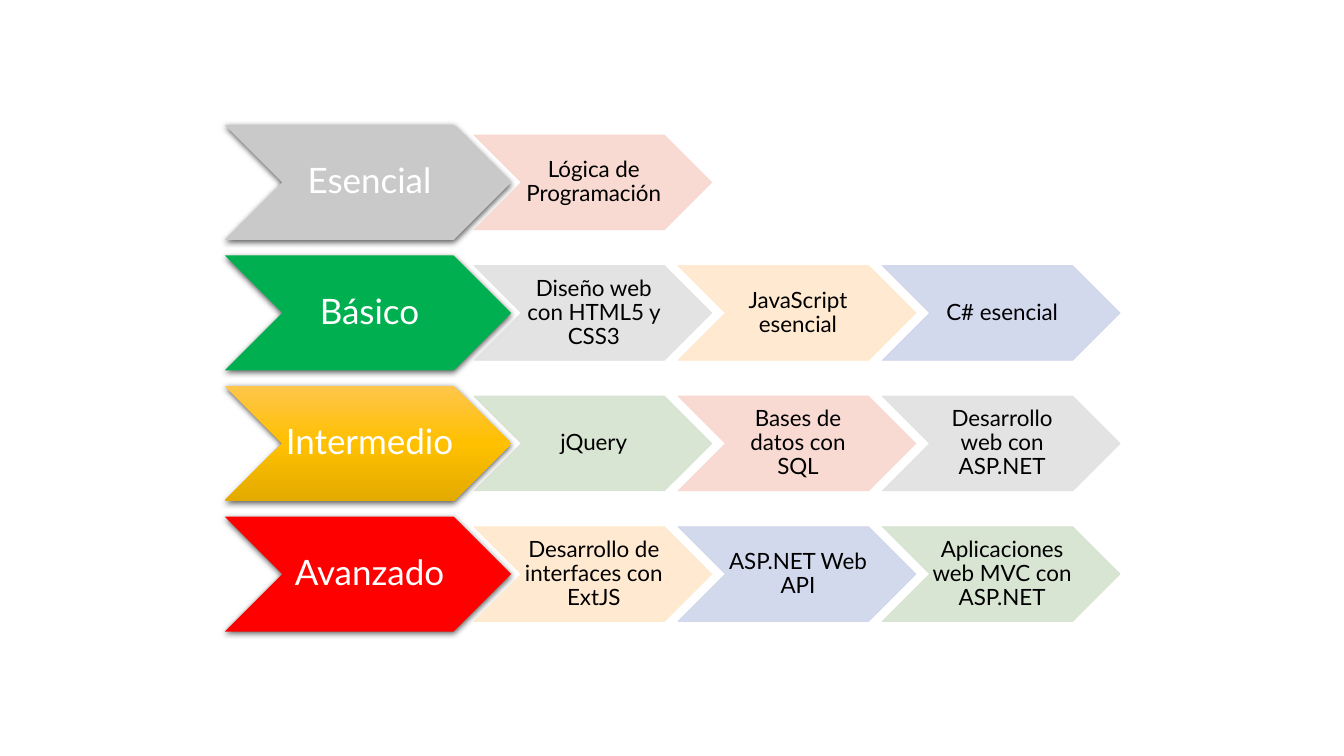
import pptx
import pptx.dml.color
import pptx.enum.shapes
import pptx.enum.text
import pptx.oxml
import pptx.oxml.ns
import pptx.util

Inches = pptx.util.Inches
Pt = pptx.util.Pt
RGBColor = pptx.dml.color.RGBColor
qn = pptx.oxml.ns.qn

FONT = "Lato"
WHITE = RGBColor(0xFF, 0xFF, 0xFF)
BLACK = RGBColor(0x00, 0x00, 0x00)
GREY = RGBColor(0xC9, 0xC9, 0xC9)
GREEN = RGBColor(0x00, 0xB0, 0x50)
RED = RGBColor(0xFF, 0x00, 0x00)
AMBER_LIGHT = RGBColor(0xFF, 0xC6, 0x4B)
AMBER = RGBColor(0xFF, 0xC0, 0x00)
AMBER_DARK = RGBColor(0xE3, 0xAB, 0x00)

# Step tints follow one another through the whole diagram
TINTS = [
    RGBColor(0xF8, 0xD7, 0xCE),
    RGBColor(0xE1, 0xE1, 0xE1),
    RGBColor(0xFF, 0xE8, 0xCC),
    RGBColor(0xCF, 0xD5, 0xEA),
    RGBColor(0xD5, 0xE3, 0xCF),
]

# Level name, fill colours from top to bottom, steps
LEVELS = [
    ("Esencial", [GREY], ["Lógica de Programación"]),
    ("Básico", [GREEN],
     ["Diseño web con HTML5 y CSS3", "JavaScript esencial", "C# esencial"]),
    ("Intermedio", [AMBER_LIGHT, AMBER, AMBER_DARK],
     ["jQuery", "Bases de datos con SQL", "Desarrollo web con ASP.NET"]),
    ("Avanzado", [RED],
     ["Desarrollo de interfaces con ExtJS", "ASP.NET Web API",
      "Aplicaciones web MVC con ASP.NET"]),
]

# Diagram grid, in inches
LEFT, TOP = 2.23, 1.24
ROW_PITCH = 1.295
LEVEL_W, LEVEL_H = 2.84, 1.14
STEP_W, STEP_H = 2.36, 0.94
STEP_OFFSET, STEP_PITCH = 2.47, 2.025

NS = 'xmlns:a="http://schemas.openxmlformats.org/drawingml/2006/main"'


def write_text(sp, text, size, color, inset):
    """Centre one paragraph in the shape."""
    tf = sp.text_frame
    tf.word_wrap = True
    tf.vertical_anchor = pptx.enum.text.MSO_ANCHOR.MIDDLE
    tf.margin_left, tf.margin_right = Inches(inset), 0
    tf.margin_top = tf.margin_bottom = Inches(inset / 1.6)
    p = tf.paragraphs[0]
    p.alignment = pptx.enum.text.PP_ALIGN.CENTER
    p.line_spacing = 0.9
    p.space_after = Pt(size * 0.35)
    r = p.add_run()
    r.text = text
    r.font.name = FONT
    r.font.size = Pt(size)
    r.font.color.rgb = color


def add_chevron(slide, box, color):
    sp = slide.shapes.add_shape(pptx.enum.shapes.MSO_SHAPE.CHEVRON,
                                *[Inches(v) for v in box])
    sp.shadow.inherit = False
    sp.fill.solid()
    sp.fill.fore_color.rgb = color
    return sp


def fill_gradient(sp, colors):
    """Replace the solid fill with evenly spaced stops, top to bottom."""
    last = len(colors) - 1
    stops = "".join(
        f'<a:gs pos="{100000 * i // last}"><a:srgbClr val="{c}"/></a:gs>'
        for i, c in enumerate(colors))
    grad = pptx.oxml.parse_xml(
        f'<a:gradFill {NS} rotWithShape="1"><a:gsLst>{stops}</a:gsLst>'
        '<a:lin ang="5400000" scaled="0"/></a:gradFill>')
    spPr = sp.fill._xPr
    spPr.replace(spPr.find(qn("a:solidFill")), grad)


def add_shadow(sp):
    effects = sp._element.spPr.find(qn("a:effectLst"))
    effects.append(pptx.oxml.parse_xml(
        f'<a:outerShdw {NS} blurRad="{Pt(4.5)}" dist="{Pt(1.5)}" '
        'dir="5400000" algn="ctr" rotWithShape="0"><a:srgbClr val="000000">'
        '<a:alpha val="63000"/></a:srgbClr></a:outerShdw>'))


def add_level(slide, box, name, colors):
    sp = add_chevron(slide, box, colors[0])
    sp.line.fill.background()
    if len(colors) > 1:
        fill_gradient(sp, colors)
    add_shadow(sp)
    write_text(sp, name, size=25, color=WHITE, inset=0.03)


def add_step(slide, box, text, tint):
    sp = add_chevron(slide, box, tint)
    sp.line.color.rgb = tint
    sp.line.width = Pt(0.5)
    # 90% opacity for fill and outline
    for clr in sp._element.spPr.iter(qn("a:srgbClr")):
        clr.append(pptx.oxml.parse_xml(f'<a:alpha {NS} val="90000"/>'))
    write_text(sp, text, size=16, color=BLACK, inset=0.02)


def add_roadmap(slide, left, top):
    tint_index = 0
    for row, (name, colors, steps) in enumerate(LEVELS):
        y = top + row * ROW_PITCH
        add_level(slide, (left, y, LEVEL_W, LEVEL_H), name, colors)
        step_y = y + (LEVEL_H - STEP_H) / 2
        for col, text in enumerate(steps):
            x = left + STEP_OFFSET + col * STEP_PITCH
            add_step(slide, (x, step_y, STEP_W, STEP_H), text,
                     TINTS[tint_index % len(TINTS)])
            tint_index += 1


def main():
    prs = pptx.Presentation()
    prs.slide_width, prs.slide_height = Inches(13.33), Inches(7.5)
    slide = prs.slides.add_slide(prs.slide_layouts[6])
    add_roadmap(slide, LEFT, TOP)
    prs.save("out.pptx")


if __name__ == "__main__":
    main()
